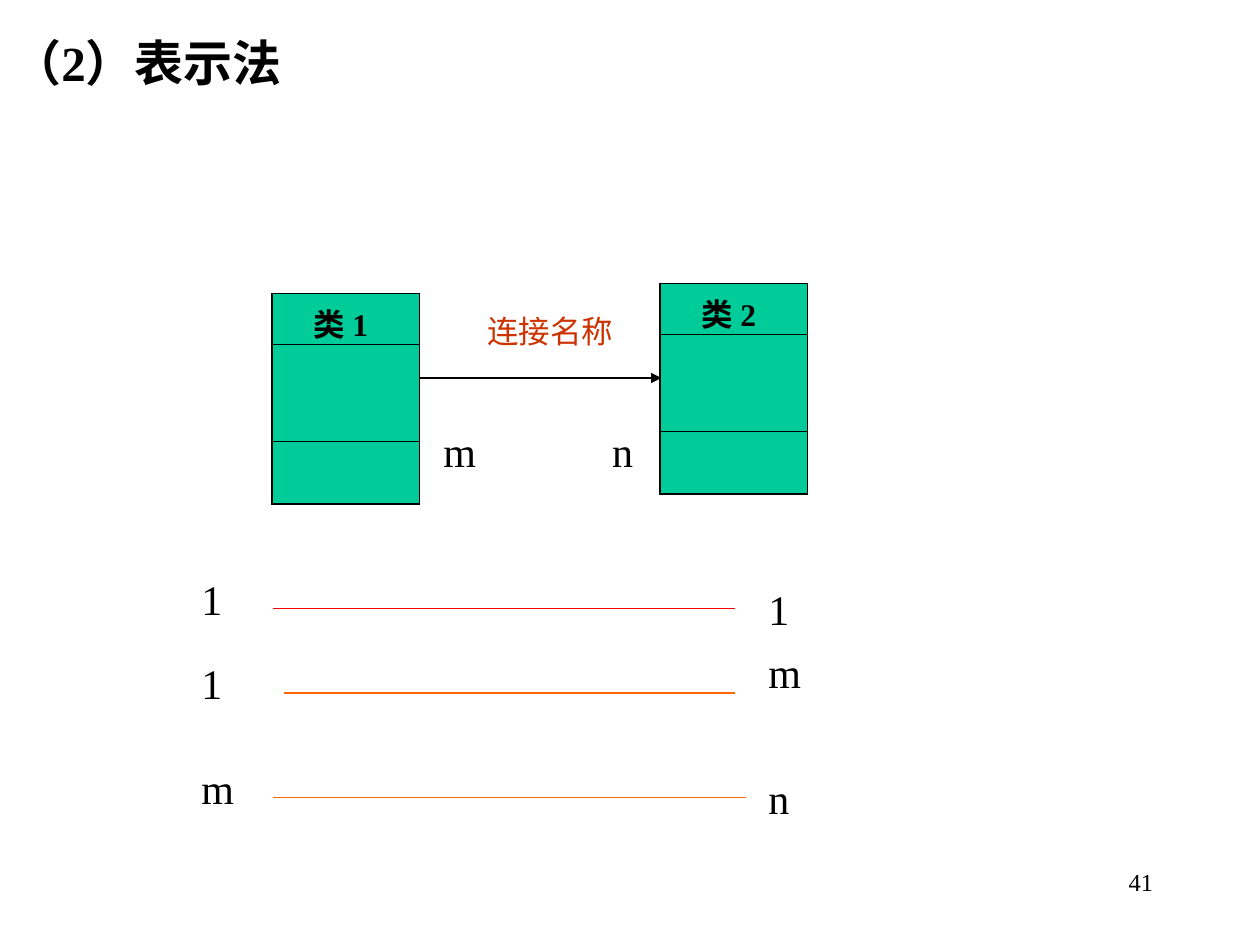
from dataclasses import dataclass

from lxml import etree
from pptx import Presentation
from pptx.dml.color import RGBColor
from pptx.enum import shapes, text
from pptx.oxml import ns
from pptx.util import Inches, Pt


@dataclass(frozen=True)
class Theme:
    font: str = "Times New Roman"
    ink: str = "000000"
    fill: str = "00CC99"
    name: str = "CC3300"
    red: str = "FF0000"
    amber: str = "FF6600"
    title: int = 28
    label: int = 24
    body: int = 18
    page: int = 14
    rule: float = 0.75
    edge: float = 1.08
    inner: float = 0.45


THEME = Theme()


def add_run(para, words, size, color=THEME.ink, bold=False):
    run = para.add_run()
    run.text = words
    font = run.font
    font.name, font.size, font.bold = THEME.font, Pt(size), bold
    font.color.rgb = RGBColor.from_string(color)


def add_label(slide, words, left, top, width=0.6, height=0.5,
              size=THEME.label, color=THEME.ink, bold=False, align=None):
    box = slide.shapes.add_textbox(
        Inches(left), Inches(top), Inches(width), Inches(height))
    box.text_frame.word_wrap = True
    para = box.text_frame.paragraphs[0]
    para.alignment = align
    add_run(para, words, size, color, bold)


def add_line(slide, left, right, top, color, arrow=False):
    line = slide.shapes.add_connector(
        shapes.MSO_CONNECTOR.STRAIGHT,
        Inches(left), Inches(top), Inches(right), Inches(top))
    line.line.color.rgb = RGBColor.from_string(color)
    line.line.width = Pt(THEME.rule)
    if arrow:
        etree.SubElement(line.line._get_or_add_ln(), ns.qn("a:tailEnd"),
                         type="triangle")
    etree.SubElement(line._element.spPr, ns.qn("a:effectLst"))


def set_edges(cell, first, last):
    """Draw thick outer sides and thin rules between the rows."""
    props = cell._tc.get_or_add_tcPr()
    widths = {"L": THEME.edge, "R": THEME.edge,
              "T": THEME.edge if first else THEME.inner,
              "B": THEME.edge if last else THEME.inner}
    for side, width in widths.items():
        edge = etree.SubElement(props, ns.qn(f"a:ln{side}"),
                                w=str(int(Pt(width))))
        fill = etree.SubElement(edge, ns.qn("a:solidFill"))
        etree.SubElement(fill, ns.qn("a:srgbClr"), val=THEME.ink)


def add_class(slide, words, left, top):
    """Add a class box: name, attributes, operations."""
    rows = (0.4, 0.77, 0.5)
    width = 1.17
    table = slide.shapes.add_table(
        len(rows), 1, Inches(left), Inches(top),
        Inches(width), Inches(sum(rows))).table
    table.first_row = table.horz_banding = False
    for i, height in enumerate(rows):
        table.rows[i].height = Inches(height)
        cell = table.cell(i, 0)
        set_edges(cell, i == 0, i == len(rows) - 1)
        cell.fill.solid()
        cell.fill.fore_color.rgb = RGBColor.from_string(THEME.fill)
    head = table.cell(0, 0)
    head.margin_left = Inches(0.33)
    add_run(head.text_frame.paragraphs[0], words, THEME.body, bold=True)


def main():
    deck = Presentation()
    deck.slide_width, deck.slide_height = Inches(10), Inches(7.5)
    slide = deck.slides.add_slide(deck.slide_layouts[6])

    add_label(slide, "（2）表示法", 0, 0.21, 3.28, 0.57, THEME.title, bold=True)

    add_class(slide, "类 1", 2.16, 2.33)
    add_line(slide, 3.33, 5.25, 3, THEME.ink, arrow=True)
    add_class(slide, "类 2", 5.24, 2.25)
    add_label(slide, "连接名称", 3.77, 2.43, 1.4, 0.4, THEME.body, THEME.name)
    add_label(slide, "m", 3.42, 3.33)
    add_label(slide, "n", 4.76, 3.33, 0.45)

    # Each link: end labels with their tops, then the line and its colour
    links = (
        ("1", 4.5, "1", 4.58, 2.17, 5.83, 4.83, THEME.red),
        ("1", 5.17, "m", 5.08, 2.25, 5.83, 5.5, THEME.amber),
        ("m", 6, "n", 6.08, 2.17, 5.92, 6.33, THEME.amber),
    )
    for near, high, far, low, left, right, top, color in links:
        add_line(slide, left, right, top, color)
        add_label(slide, near, 1.5, high)
        add_label(slide, far, 6, low)

    add_label(slide, "41", 7.17, 6.83, 2.08, size=THEME.page,
              align=text.PP_ALIGN.RIGHT)
    deck.save("out.pptx")


if __name__ == "__main__":
    main()
